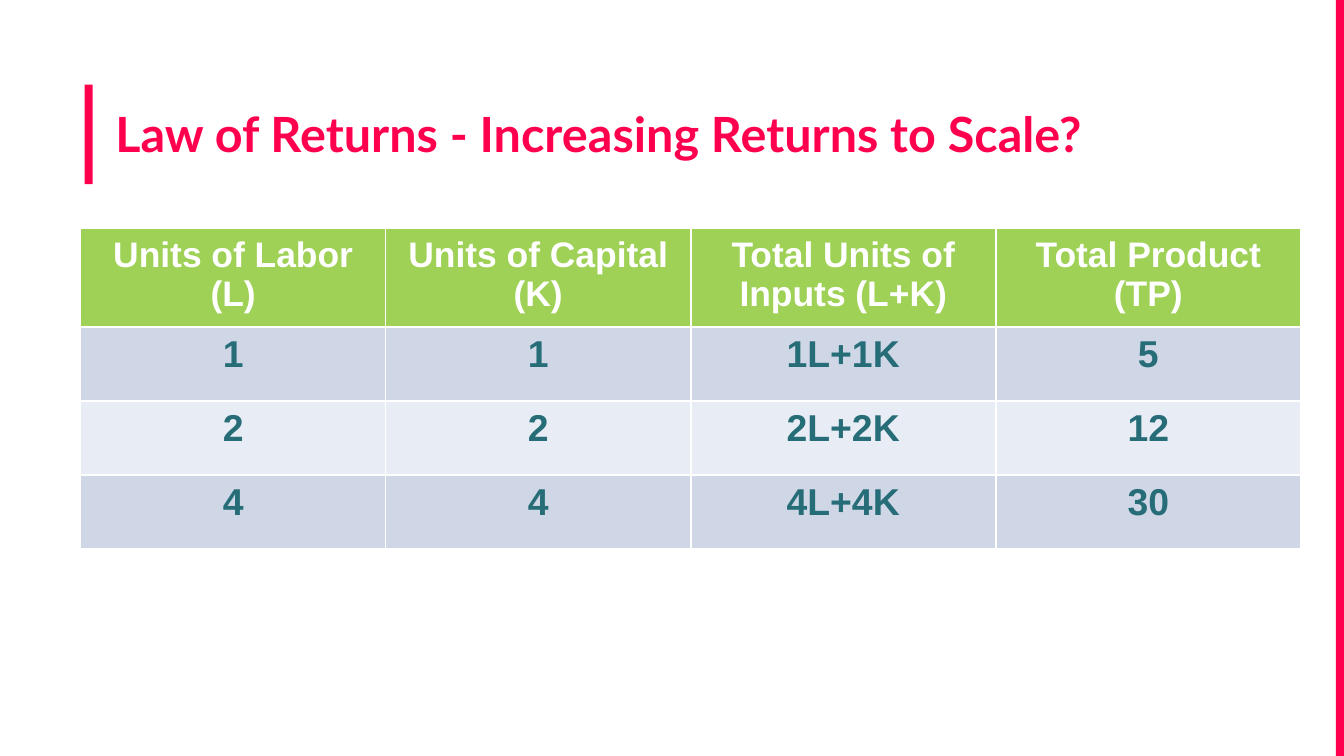
from pptx import Presentation
from pptx.dml.color import RGBColor
from pptx.enum.shapes import MSO_SHAPE
from pptx.enum.text import MSO_ANCHOR, PP_ALIGN
from pptx.util import Inches, Pt

WIDE = 10
HIGH = WIDE * 9 / 16
PINK = RGBColor(0xFF, 0x00, 0x4E)
GREEN = RGBColor(0x9E, 0xD1, 0x55)
TEAL = RGBColor(0x26, 0x6D, 0x78)
WHITE = RGBColor(0xFF, 0xFF, 0xFF)
BANDS = [RGBColor(0xE8, 0xEC, 0xF4), RGBColor(0xCF, 0xD7, 0xE7)]
HEADS = ["Units of Labor (L)", "Units of Capital (K)",
         "Total Units of Inputs (L+K)", "Total Product (TP)"]
UNITS = [(1, 5), (2, 12), (4, 30)]


def style(para, name, size, color):
    font = para.font
    font.name, font.size, font.bold = name, Pt(size), True
    font.color.rgb = color


def add_bar(slide, left, top, width, height):
    bar = slide.shapes.add_shape(
        MSO_SHAPE.RECTANGLE, *map(Inches, (left, top, width, height)))
    bar.shadow.inherit = False
    bar.fill.solid()
    bar.fill.fore_color.rgb = PINK
    bar.line.fill.background()


def add_title(slide, text):
    box = slide.shapes.add_textbox(*map(Inches, (0.76, 0.67, 9.08, 0.72)))
    frame = box.text_frame
    frame.word_wrap = True
    frame.vertical_anchor = MSO_ANCHOR.TOP
    frame.margin_left = frame.margin_right = Inches(0.1)
    frame.margin_top = frame.margin_bottom = Inches(0.1)
    frame.text = text
    style(frame.paragraphs[0], "Lato", 26, PINK)


def fill_cell(cell, text, row):
    head = row == 0
    cell.fill.solid()
    cell.fill.fore_color.rgb = GREEN if head else BANDS[row % 2]
    cell.text = text
    para = cell.text_frame.paragraphs[0]
    para.alignment = PP_ALIGN.CENTER
    style(para, "Arial", 19 if head else 20, WHITE if head else TEAL)


def add_grid(slide, rows):
    count = len(rows[0])
    sizes = [0.58] + [0.55] * (len(rows) - 1)
    table = slide.shapes.add_table(
        len(rows), count, Inches(0.6), Inches(1.7),
        Inches(2.27 * count), Inches(sum(sizes))).table
    for col in table.columns:
        col.width = Inches(2.27)
    for r, texts in enumerate(rows):
        table.rows[r].height = Inches(sizes[r])
        for c, text in enumerate(texts):
            fill_cell(table.cell(r, c), text, r)


def main():
    deck = Presentation()
    deck.slide_width, deck.slide_height = Inches(WIDE), Inches(HIGH)
    slide = deck.slides.add_slide(deck.slide_layouts[6])
    add_bar(slide, 0.63, 0.63, 0.06, 0.74)
    add_bar(slide, WIDE - 0.06, 0, 0.06, HIGH)
    add_title(slide, "Law of Returns - Increasing Returns to Scale?")
    body = [[f"{n}", f"{n}", f"{n}L+{n}K", f"{total}"] for n, total in UNITS]
    add_grid(slide, [HEADS] + body)
    deck.save("out.pptx")


if __name__ == "__main__":
    main()
